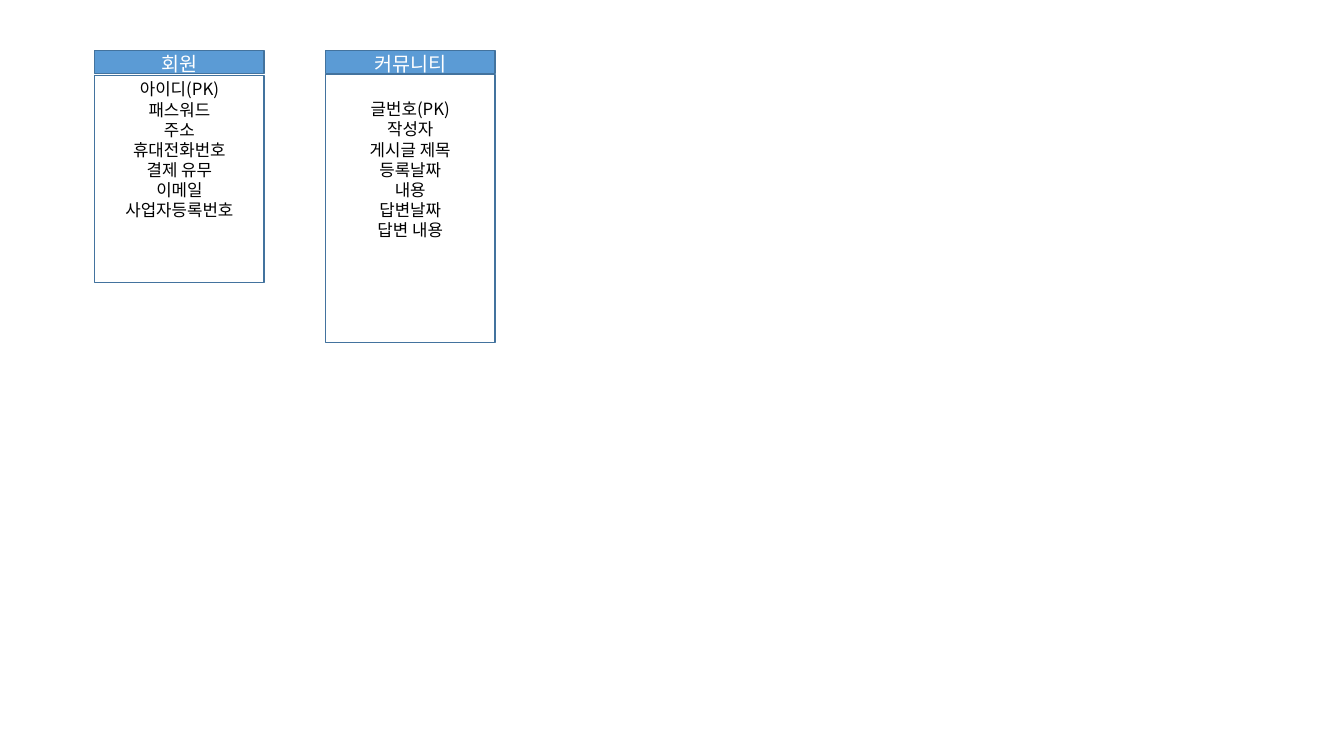
"""Build a slide with two database entity boxes: members and community."""
from pptx import Presentation
from pptx.dml.color import RGBColor
from pptx.enum import shapes, text
from pptx.util import Pt

FONT = "Noto Sans CJK KR"
BLUE, BORDER, WHITE, BLACK = "5B9BD5", "43739E", "FFFFFF", "000000"
ENTITIES = [
    {"name": "회원", "left": 67.68, "top": 54, "height": 147.6, "inset": 2.5,
     "fields": ["아이디(PK)", "패스워드", "주소", "휴대전화번호",
                "결제 유무", "이메일", "사업자등록번호"]},
    {"name": "커뮤니티", "left": 232.56, "top": 53.28, "height": 191.52, "inset": 17.4,
     "fields": ["글번호(PK)", "작성자", "게시글 제목", "등록날짜",
                "내용", "답변날짜", "답변 내용"]},
]
WIDTH, HEADER_TOP, HEADER_HEIGHT = 120.96, 36, 16.56
LINE_RATIO = 1.2


def rgb(value):
    return RGBColor.from_string(value)


def add_box(s, left, top, height, lines, size, color, inset, fill=None):
    sp = s.shapes.add_shape(shapes.MSO_SHAPE.RECTANGLE,
                            Pt(left), Pt(top), Pt(WIDTH), Pt(height))
    sp.shadow.inherit = False
    if fill:
        sp.fill.solid()
        sp.fill.fore_color.rgb = rgb(fill)
    else:
        sp.fill.background()
    sp.line.color.rgb = rgb(BORDER)
    sp.line.width = Pt(1)
    tf = sp.text_frame
    tf.word_wrap = True
    tf.vertical_anchor = text.MSO_ANCHOR.TOP
    tf.margin_top, tf.margin_bottom = Pt(inset), Pt(0)
    tf.text = "\n".join(lines)
    for p in tf.paragraphs:
        p.alignment = text.PP_ALIGN.CENTER
        p.line_spacing = Pt(size * LINE_RATIO)
        p.font.name = FONT
        p.font.size = Pt(size)
        p.font.color.rgb = rgb(color)


def main():
    prs = Presentation()
    prs.slide_width, prs.slide_height = Pt(960), Pt(540)
    s = prs.slides.add_slide(prs.slide_layouts[6])
    for entity in ENTITIES:
        add_box(s, entity["left"], entity["top"], entity["height"],
                entity["fields"], 12, BLACK, entity["inset"])
        add_box(s, entity["left"], HEADER_TOP, HEADER_HEIGHT,
                [entity["name"]], 14, WHITE, 1, BLUE)
    prs.save("out.pptx")


if __name__ == "__main__":
    main()
